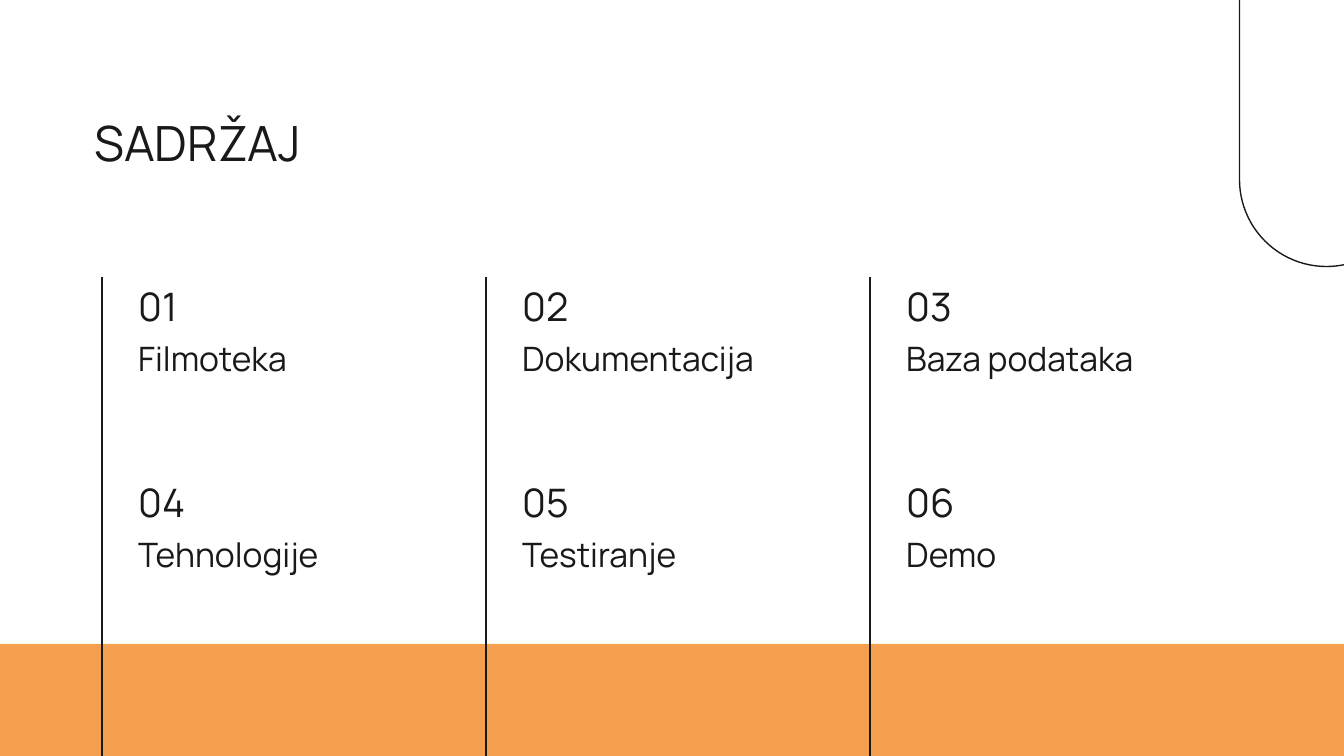
from pptx import Presentation, util as u
from pptx.dml.color import RGBColor
from pptx.enum import shapes, text
from pptx.oxml.ns import qn
from lxml import etree

TITLE = "SADRŽAJ"
TOPICS = [
    ["Filmoteka", "Dokumentacija", "Baza podataka"],
    ["Tehnologije", "Testiranje", "Demo"],
]
FONT, INK, ORANGE = "Manrope", "191919", "F5A04F"

# Layout in px
WIDTH, HEIGHT = 1344, 756
RULE_LEFT, GRID_TOP = 102, 277
COLUMN_STEP, ROW_STEP = 384, 196
TEXT_INDENT, CAPTION_DROP = 23, 47
BAND_TOP = 644


def px(n):
    return u.Emu(round(n * 914400 / 134.4))


def color(value):
    return RGBColor.from_string(value)


def add_text(page, words, left, top, width, height, size,
             anchor=text.MSO_ANCHOR.TOP):
    box = page.shapes.add_textbox(px(left), px(top), px(width), px(height))
    frame = box.text_frame
    frame.word_wrap = True
    frame.vertical_anchor = anchor
    frame.margin_left = frame.margin_right = u.Inches(0.1)
    frame.margin_top = frame.margin_bottom = u.Inches(0.1)
    para = frame.paragraphs[0]
    para.text = words
    para.font.name = FONT
    para.font.size = u.Pt(size)
    para.font.color.rgb = color(INK)


def add_shape(page, kind, left, top, width, height):
    shape = page.shapes.add_shape(kind, px(left), px(top), px(width), px(height))
    shape.shadow.inherit = False
    return shape


def set_line(shape):
    shape.line.color.rgb = color(INK)
    shape.line.width = u.Pt(0.75)


def add_rule(page, x):
    rule = page.shapes.add_connector(
        shapes.MSO_CONNECTOR.STRAIGHT, px(x), px(GRID_TOP), px(x), px(HEIGHT))
    set_line(rule)
    etree.SubElement(rule.element.spPr, qn("a:effectLst"))


def main():
    deck = Presentation()
    deck.slide_width, deck.slide_height = px(WIDTH), px(HEIGHT)
    page = deck.slides.add_slide(deck.slide_layouts[6])

    # Orange band along the bottom
    band = add_shape(page, shapes.MSO_SHAPE.RECTANGLE,
                     0, BAND_TOP, WIDTH, HEIGHT - BAND_TOP)
    band.fill.solid()
    band.fill.fore_color.rgb = color(ORANGE)
    band.line.fill.background()

    # Capsule outline running off the top right corner
    capsule = add_shape(page, shapes.MSO_SHAPE.ROUNDED_RECTANGLE,
                        1023, -124, 607, 174)
    capsule.adjustments[0] = 0.5
    capsule.rotation = 90
    capsule.fill.background()
    set_line(capsule)

    # Title
    add_text(page, TITLE, 81, 100, 470, 120, 26)

    # Numbered topics
    for row, topics in enumerate(TOPICS):
        top = GRID_TOP + row * ROW_STEP
        for column, topic in enumerate(topics):
            left = RULE_LEFT + TEXT_INDENT + column * COLUMN_STEP
            number = row * len(topics) + column + 1
            add_text(page, f"{number:02}", left, top, 108, 66, 21,
                     text.MSO_ANCHOR.BOTTOM)
            add_text(page, topic, left, top + CAPTION_DROP, 339, 75, 18)

    # Vertical rules
    for column in range(len(TOPICS[0])):
        add_rule(page, RULE_LEFT + column * COLUMN_STEP)

    deck.save("out.pptx")


if __name__ == "__main__":
    main()
